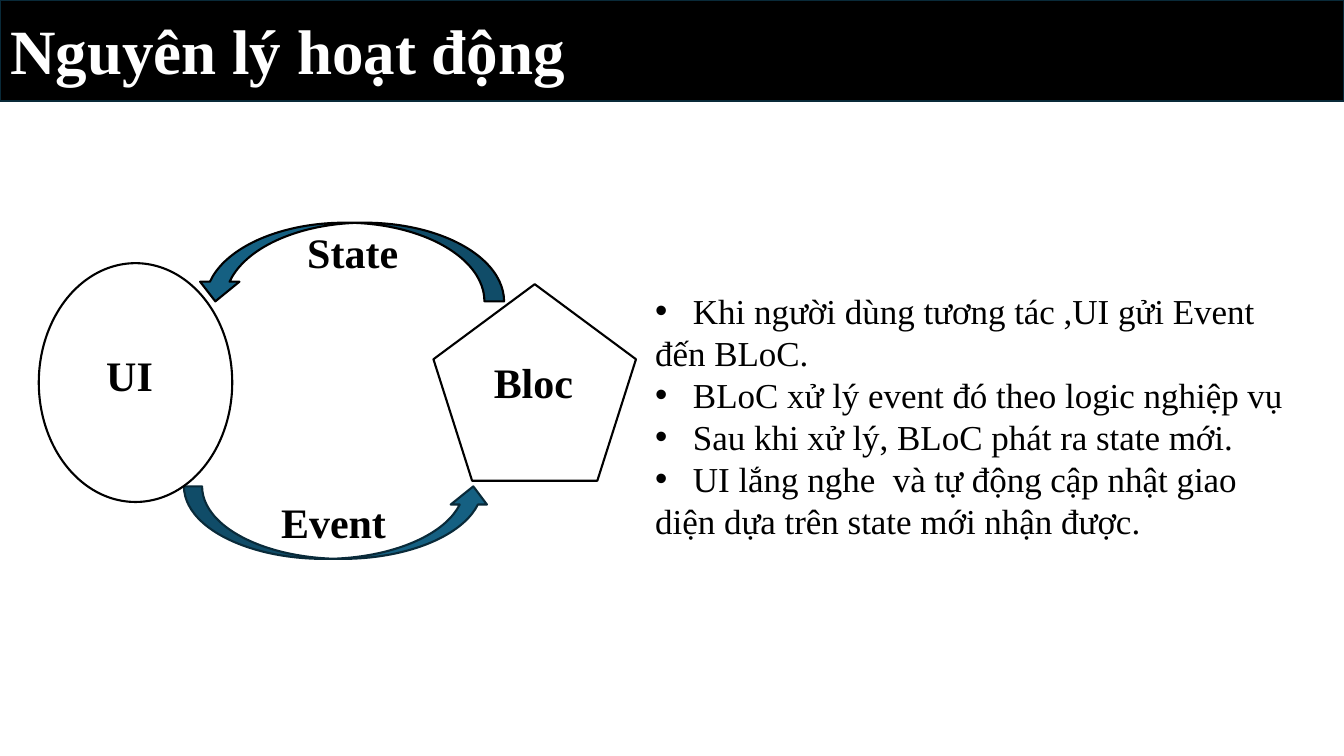
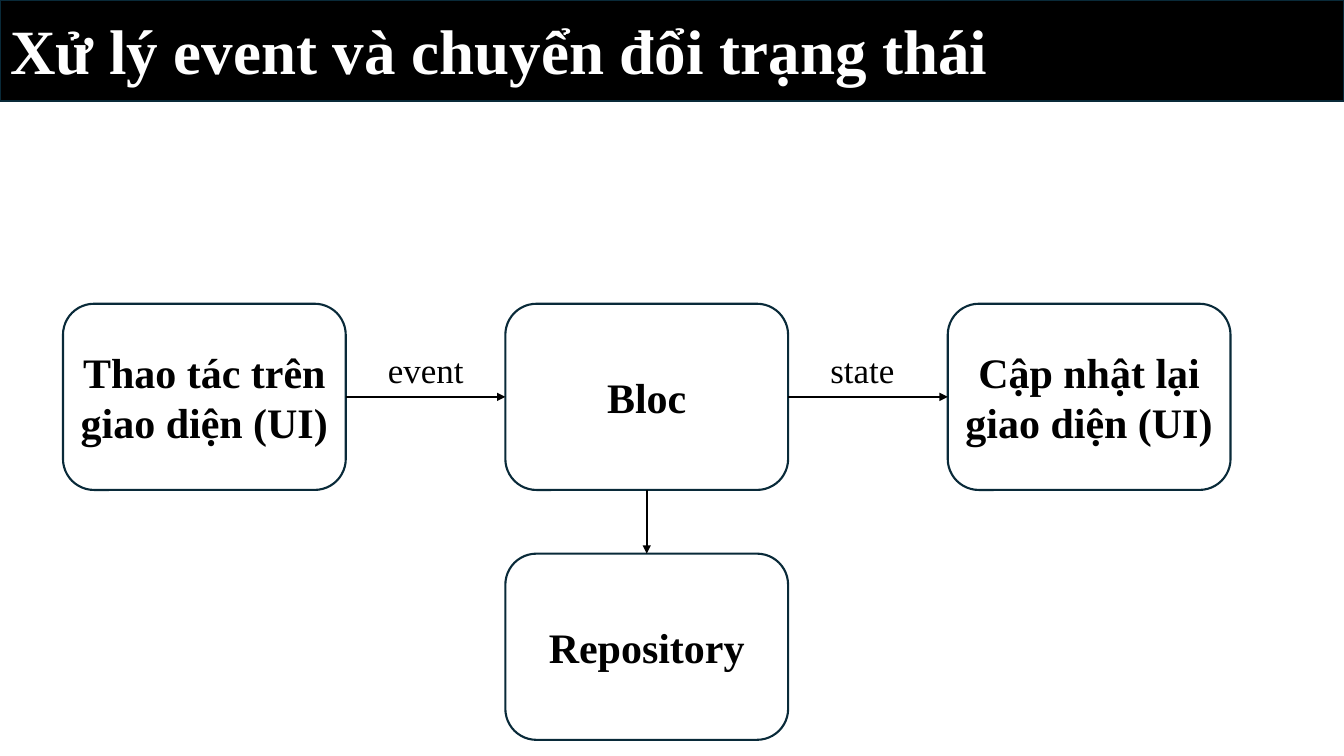
from dataclasses import dataclass

from lxml.etree import SubElement
from pptx import Presentation
from pptx.dml.color import RGBColor
from pptx.enum.shapes import MSO_CONNECTOR, MSO_SHAPE
from pptx.enum.text import MSO_ANCHOR, MSO_AUTO_SIZE, PP_ALIGN
from pptx.oxml.ns import qn
from pptx.shapes.autoshape import Shape
from pptx.slide import Slide
from pptx.text.text import TextFrame
from pptx.util import Pt

# Shared style
FONT = "Times New Roman"
BLACK = RGBColor(0x00, 0x00, 0x00)
WHITE = RGBColor(0xFF, 0xFF, 0xFF)
TEAL = RGBColor(0x15, 0x60, 0x82)
NAVY = RGBColor(0x09, 0x2A, 0x39)
PAGE_WIDTH, PAGE_HEIGHT = 960, 540
BAND_HEIGHT = 72
LINE_WIDTH = 1.5
TITLE_SIZE, LABEL_SIZE, BODY_SIZE = 45, 30, 25
BULLET_INDENT = 27

# Flow chart grid on the second slide
BOX_LEFT, BOX_TOP = 45, 217
BOX_WIDTH, BOX_HEIGHT = 202, 133
COLUMN_PITCH, ROW_PITCH = 316, 178.5
TOP_SITE, LEFT_SITE, BOTTOM_SITE, RIGHT_SITE = range(4)


@dataclass(frozen=True)
class Area:
    left: float
    top: float
    width: float
    height: float

    def lengths(self) -> tuple[Pt, Pt, Pt, Pt]:
        return Pt(self.left), Pt(self.top), Pt(self.width), Pt(self.height)


@dataclass(frozen=True)
class Figure:
    kind: MSO_SHAPE
    area: Area
    fill: RGBColor = WHITE
    line: RGBColor = BLACK
    rotation: float = 0


@dataclass(frozen=True)
class Label:
    text: str
    area: Area
    size: float = LABEL_SIZE
    bold: bool = True
    align: PP_ALIGN = PP_ALIGN.LEFT


@dataclass(frozen=True)
class Step:
    text: str
    column: int
    row: int = 0


@dataclass(frozen=True)
class Link:
    source: int
    source_site: int
    target: int
    target_site: int


@dataclass(frozen=True)
class BodyLine:
    text: str
    bullet: bool = True


CYCLE_FIGURES = [
    Figure(MSO_SHAPE.CURVED_RIGHT_ARROW, Area(221.8, 77, 56.2, 220.3), TEAL, rotation=90),
    Figure(MSO_SHAPE.CURVED_RIGHT_ARROW, Area(215.3, 263.5, 51.8, 219.6), TEAL, NAVY, 270),
    Figure(MSO_SHAPE.REGULAR_PENTAGON, Area(309.6, 203, 144.7, 140.4)),
    Figure(MSO_SHAPE.OVAL, Area(27.7, 188, 138.2, 170.6)),
]
CYCLE_LABELS = [
    Label("UI", Area(49.7, 246.2, 85.7, 44), align=PP_ALIGN.CENTER),
    Label("Bloc", Area(345.6, 251.3, 85.7, 44)),
    Label("State", Area(212.4, 158.4, 122.4, 44)),
    Label("Event", Area(193.7, 351.4, 128.9, 44)),
]
BODY_AREA = Area(463, 204.5, 487.4, 184.5)
BODY_LINES = [
    BodyLine("Khi người dùng tương tác ,UI gửi Event"),
    BodyLine("đến BLoC.", bullet=False),
    BodyLine("BLoC xử lý event đó theo logic nghiệp vụ"),
    BodyLine("Sau khi xử lý, BLoC phát ra state mới."),
    BodyLine("UI lắng nghe  và tự động cập nhật giao"),
    BodyLine("diện dựa trên state mới nhận được.", bullet=False),
]
STEPS = [
    Step("Thao tác trên giao diện (UI)", 0),
    Step("Bloc", 1),
    Step("Cập nhật lại\ngiao diện (UI)", 2),
    Step("Repository", 1, 1),
]
LINKS = [
    Link(0, RIGHT_SITE, 1, LEFT_SITE),
    Link(1, RIGHT_SITE, 2, LEFT_SITE),
    Link(1, BOTTOM_SITE, 3, TOP_SITE),
]
LINK_LABELS = [
    Label(text, Area(270 + column * COLUMN_PITCH, 245.5, 78, 37.4), BODY_SIZE, False)
    for column, text in enumerate(("event", "state"))
]


def write_text(frame: TextFrame, text: str, size: float, color: RGBColor,
               bold: bool, align: PP_ALIGN) -> None:
    frame.text = text
    frame.word_wrap = True
    frame.auto_size = MSO_AUTO_SIZE.NONE
    for paragraph in frame.paragraphs:
        paragraph.alignment = align
        paragraph.font.name = FONT
        paragraph.font.size = Pt(size)
        paragraph.font.bold = bold
        paragraph.font.color.rgb = color


def set_margins(frame: TextFrame, side: float, edge: float) -> None:
    frame.margin_left = frame.margin_right = Pt(side)
    frame.margin_top = frame.margin_bottom = Pt(edge)


def add_figure(page: Slide, figure: Figure) -> Shape:
    shape = page.shapes.add_shape(figure.kind, *figure.area.lengths())
    shape.rotation = figure.rotation
    shape.shadow.inherit = False
    shape.fill.solid()
    shape.fill.fore_color.rgb = figure.fill
    shape.line.color.rgb = figure.line
    shape.line.width = Pt(LINE_WIDTH)
    return shape


def add_label(page: Slide, label: Label) -> None:
    box = page.shapes.add_textbox(*label.area.lengths())
    write_text(box.text_frame, label.text, label.size, BLACK, label.bold, label.align)


def add_body(page: Slide) -> None:
    frame = page.shapes.add_textbox(*BODY_AREA.lengths()).text_frame
    text = "\n".join(line.text for line in BODY_LINES)
    write_text(frame, text, BODY_SIZE, BLACK, False, PP_ALIGN.JUSTIFY)
    set_margins(frame, 5, 2.5)
    for line, paragraph in zip(BODY_LINES, frame.paragraphs):
        if line.bullet:
            properties = paragraph._p.get_or_add_pPr()
            properties.set("marL", str(Pt(BULLET_INDENT)))
            properties.set("indent", str(-Pt(BULLET_INDENT)))
            # Bullet elements come before the default run properties
            bullet_font = SubElement(properties, qn("a:buFont"), typeface="Arial")
            bullet = SubElement(properties, qn("a:buChar"), char="•")
            properties.find(qn("a:defRPr")).addprevious(bullet_font)
            bullet_font.addnext(bullet)


def add_step(page: Slide, step: Step) -> Shape:
    area = Area(BOX_LEFT + step.column * COLUMN_PITCH, BOX_TOP + step.row * ROW_PITCH,
                BOX_WIDTH, BOX_HEIGHT)
    shape = add_figure(page, Figure(MSO_SHAPE.ROUNDED_RECTANGLE, area, line=NAVY))
    write_text(shape.text_frame, step.text, LABEL_SIZE, BLACK, True, PP_ALIGN.CENTER)
    set_margins(shape.text_frame, 4, 2.5)
    shape.text_frame.vertical_anchor = MSO_ANCHOR.MIDDLE
    return shape


def add_link(page: Slide, link: Link, boxes: list[Shape]) -> None:
    arrow = page.shapes.add_connector(MSO_CONNECTOR.STRAIGHT, 0, 0, 0, 0)
    arrow.begin_connect(boxes[link.source], link.source_site)
    arrow.end_connect(boxes[link.target], link.target_site)
    arrow.line.color.rgb = BLACK
    arrow.line.width = Pt(LINE_WIDTH)
    SubElement(arrow.line._get_or_add_ln(), qn("a:tailEnd"), type="triangle")
    SubElement(arrow._element.spPr, qn("a:effectLst"))


def add_titled_page(deck: Presentation, text: str) -> Slide:
    page = deck.slides.add_slide(deck.slide_layouts.get_by_name("Title Only"))
    title = page.shapes.title
    # Band behind the title
    band = add_figure(page, Figure(MSO_SHAPE.RECTANGLE, Area(0, 0, PAGE_WIDTH, BAND_HEIGHT),
                                   BLACK, NAVY))
    title.element.addprevious(band.element)
    title.left, title.top, title.width, title.height = Area(0, 11.5, 828, 54).lengths()
    write_text(title.text_frame, text, TITLE_SIZE, WHITE, True, PP_ALIGN.LEFT)
    title.text_frame.vertical_anchor = MSO_ANCHOR.MIDDLE
    title.text_frame.paragraphs[0].line_spacing = 0.9
    return page


def add_cycle_page(deck: Presentation) -> None:
    page = add_titled_page(deck, "Nguyên lý hoạt động")
    add_body(page)
    for figure in CYCLE_FIGURES:
        add_figure(page, figure)
    for label in CYCLE_LABELS:
        add_label(page, label)


def add_flow_page(deck: Presentation) -> None:
    page = add_titled_page(deck, "Xử lý event và chuyển đổi trạng thái")
    boxes = [add_step(page, step) for step in STEPS]
    for link in LINKS:
        add_link(page, link, boxes)
    for label in LINK_LABELS:
        add_label(page, label)


def main() -> None:
    deck = Presentation()
    deck.slide_width, deck.slide_height = Pt(PAGE_WIDTH), Pt(PAGE_HEIGHT)
    add_cycle_page(deck)
    add_flow_page(deck)
    deck.save("out.pptx")


if __name__ == "__main__":
    main()
